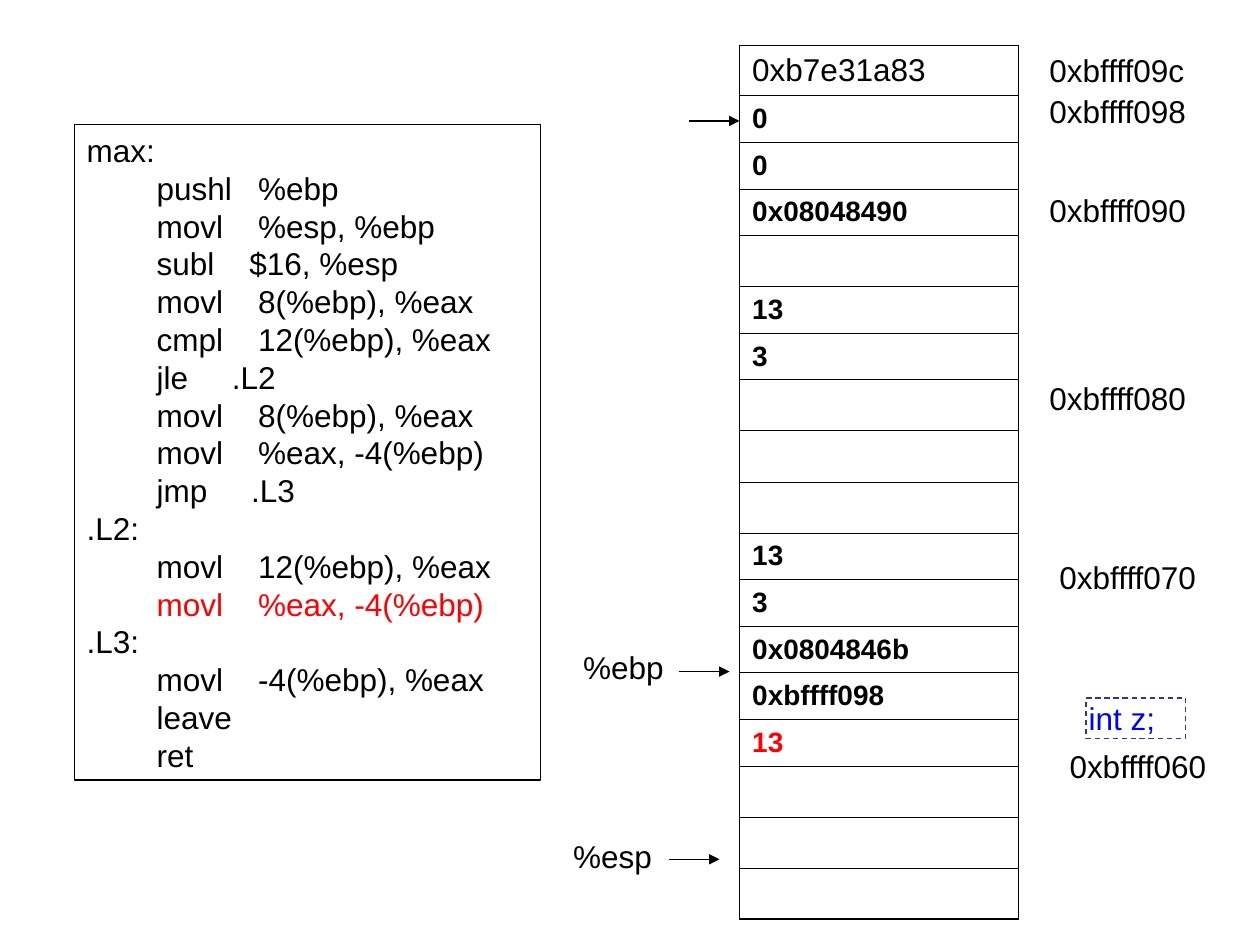
from pptx import Presentation
from pptx.dml.color import RGBColor
from pptx.enum.dml import MSO_LINE
from pptx.enum.shapes import MSO_CONNECTOR as LINK, MSO_SHAPE as KIND
from pptx.enum.text import MSO_ANCHOR as ANCHOR, PP_ALIGN as ALIGN
from pptx.oxml.ns import qn
from pptx.util import Inches, Pt
from lxml.etree import SubElement as add_node

BLACK = RGBColor(0, 0, 0)
RED = RGBColor(255, 0, 0)
BLUE = RGBColor(0, 0, 255)
INDIGO = RGBColor(0x33, 0x33, 0x99)

INDENT = " " * 8
CODE = [
    [("max:", BLACK)],
    [(INDENT + "pushl   %ebp", BLACK)],
    [(INDENT + "movl    %esp, %ebp", BLACK)],
    [(INDENT + "subl    $16, %esp", BLACK)],
    [(INDENT + "movl    8(%ebp), %eax", BLACK)],
    [(INDENT + "cmpl    12(%ebp), %eax", BLACK)],
    [(INDENT + "jle     .L2", BLACK)],
    [(INDENT + "movl    8(%ebp), %eax", BLACK)],
    [(INDENT + "movl    %eax, -4(%ebp)", BLACK)],
    [(INDENT + "jmp     .L3", BLACK)],
    [(".L2:", BLACK)],
    [(INDENT + "movl    12(%ebp), %eax", BLACK)],
    [(INDENT, BLACK), ("movl    %eax, -4(%ebp)", RED)],
    [(".L3:", BLACK)],
    [(INDENT + "movl    -4(%ebp), %eax", BLACK)],
    [(INDENT + "leave", BLACK)],
    [(INDENT + "ret", BLACK)],
]
STACK = [
    "0xb7e31a83", "0", "0", "0x08048490", "", "13", "3", "", "", "",
    "13", "3", "0x0804846b", "0xbffff098", "13", "", "", "",
]
LOCAL = 14
LABELS = [
    ("0xbffff09c", 8.23, 0.36, 1.42),
    ("0xbffff098", 8.23, 0.68, 1.42),
    ("0xbffff090", 8.23, 1.47, 1.42),
    ("0xbffff080", 8.23, 2.96, 1.3),
    ("0xbffff070", 8.31, 4.38, 1.3),
    ("0xbffff060", 8.39, 5.88, 1.3),
    ("%ebp", 4.53, 5.09, 0.95),
    ("%esp", 4.45, 6.59, 0.95),
]
ARROWS = [(5.47, 0.96), (5.39, 5.33), (5.31, 6.82)]
REACH = 0.4


def add_run(para, text, color=BLACK, size=18, bold=False):
    run = para.add_run()
    run.text = text
    font = run.font
    font.name, font.size, font.bold = "Arial", Pt(size), bold
    font.color.rgb = color


def add_frame(slide, box, color, pads):
    shape = slide.shapes.add_shape(KIND.RECTANGLE, *map(Inches, box))
    shape.shadow.inherit = False
    shape.fill.background()
    shape.line.color.rgb = color
    shape.line.width = Pt(0.75)
    frame = shape.text_frame
    frame.word_wrap = True
    frame.vertical_anchor = ANCHOR.TOP
    frame.margin_left = frame.margin_right = Inches(pads[0])
    frame.margin_top = frame.margin_bottom = Inches(pads[1])
    frame.paragraphs[0].alignment = ALIGN.LEFT
    return shape


def add_code(slide):
    frame = add_frame(slide, (0.59, 0.99, 3.7, 5.2), BLACK, (0.1, 0.05)).text_frame
    for row, parts in enumerate(CODE):
        para = frame.add_paragraph() if row else frame.paragraphs[0]
        para.alignment = ALIGN.LEFT
        for text, color in parts:
            add_run(para, text, color)


def add_edges(cell, last):
    props = cell._tc.get_or_add_tcPr()
    for side in "LRTB":
        width = Pt(1.08 if last and side == "B" else 0.45)
        edge = add_node(props, qn("a:ln" + side), w=str(int(width)))
        fill = add_node(edge, qn("a:solidFill"))
        add_node(fill, qn("a:srgbClr"), val=str(BLACK))


def add_stack(slide):
    bold = [bool(text) and row > 0 for row, text in enumerate(STACK)]
    highs = [Inches(0.37 if heavy else 0.4) for heavy in bold]
    grid = slide.shapes.add_table(
        len(STACK), 1, Inches(5.87), Inches(0.36), Inches(2.21), sum(highs)
    ).table
    grid.first_row = grid.horz_banding = False
    for row, text in enumerate(STACK):
        grid.rows[row].height = highs[row]
        cell = grid.cell(row, 0)
        add_edges(cell, row == len(STACK) - 1)
        cell.fill.background()
        cell.vertical_anchor = ANCHOR.MIDDLE
        if text:
            color = RED if row == LOCAL else BLACK
            size = 16 if bold[row] else 18
            add_run(cell.text_frame.paragraphs[0], text, color, size, bold[row])


def add_label(slide, text, left, top, width):
    box = slide.shapes.add_textbox(*map(Inches, (left, top, width, 0.4)))
    box.text_frame.word_wrap = True
    add_run(box.text_frame.paragraphs[0], text)


def add_arrow(slide, left, top):
    ends = map(Inches, (left, top, left + REACH, top))
    line = slide.shapes.add_connector(LINK.STRAIGHT, *ends)
    line.line.color.rgb = BLACK
    line.line.width = Pt(0.75)
    add_node(line.line._get_or_add_ln(), qn("a:tailEnd"), type="triangle")
    add_node(line._element.spPr, qn("a:effectLst"))


def add_local(slide):
    box = add_frame(slide, (8.62, 5.54, 0.79, 0.32), INDIGO, (0.02, 0.01))
    box.line.dash_style = MSO_LINE.DASH
    add_run(box.text_frame.paragraphs[0], "int z;", BLUE)


def main():
    deck = Presentation()
    deck.slide_width, deck.slide_height = Inches(10), Inches(7.5)
    slide = deck.slides.add_slide(deck.slide_layouts[6])
    add_code(slide)
    add_stack(slide)
    for label in LABELS:
        add_label(slide, *label)
    for arrow in ARROWS:
        add_arrow(slide, *arrow)
    add_local(slide)
    deck.save("out.pptx")


if __name__ == "__main__":
    main()
